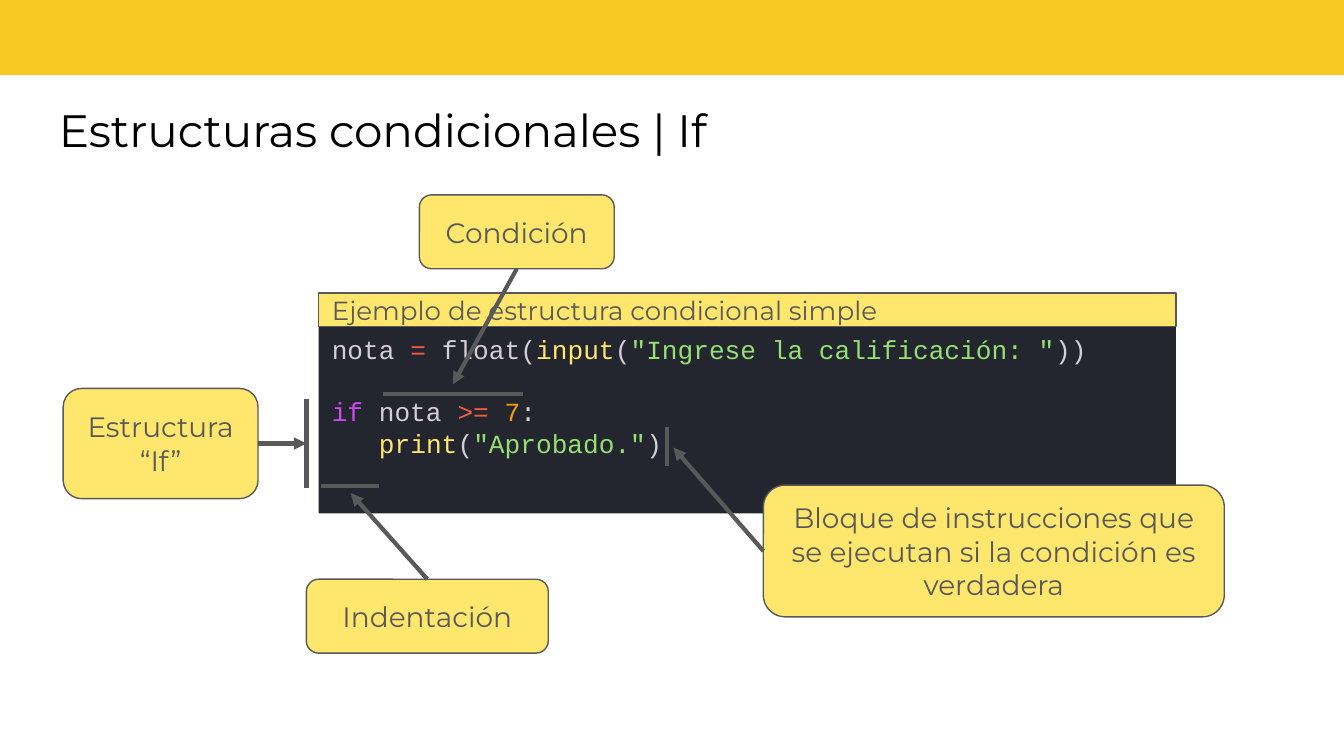
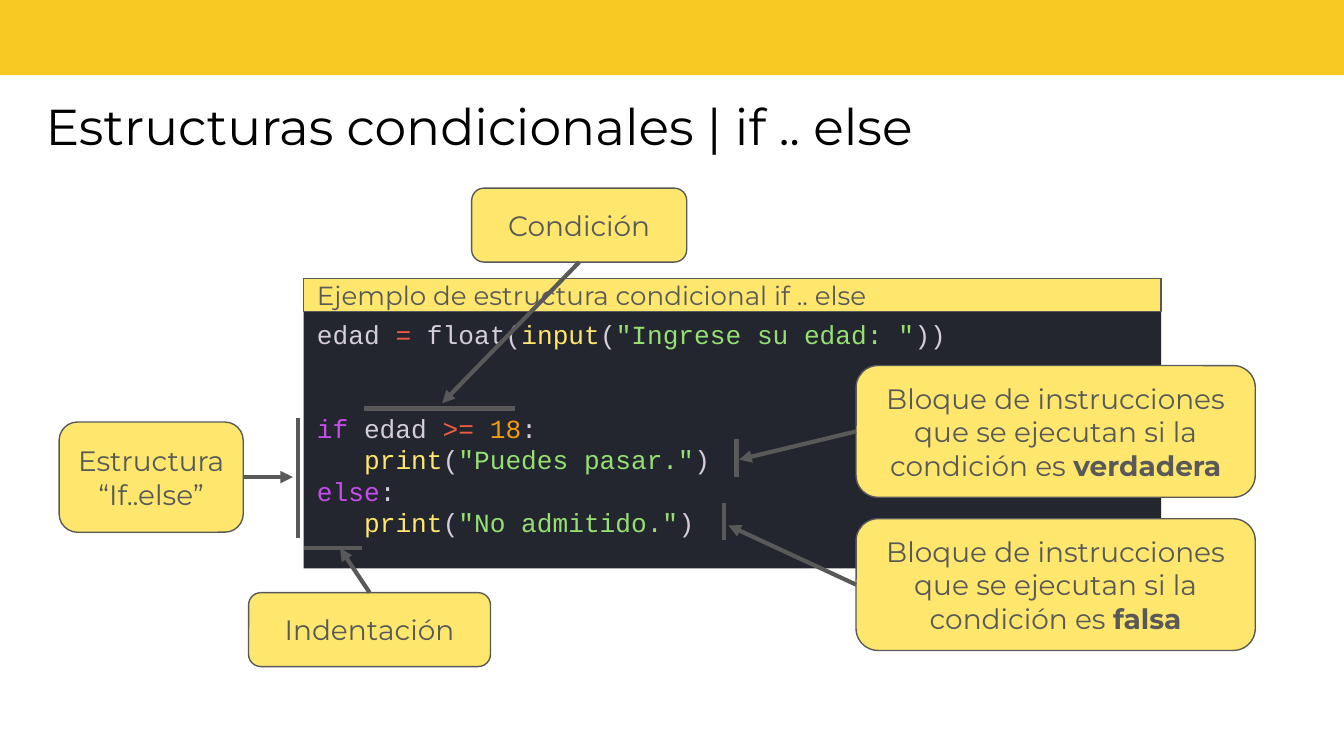
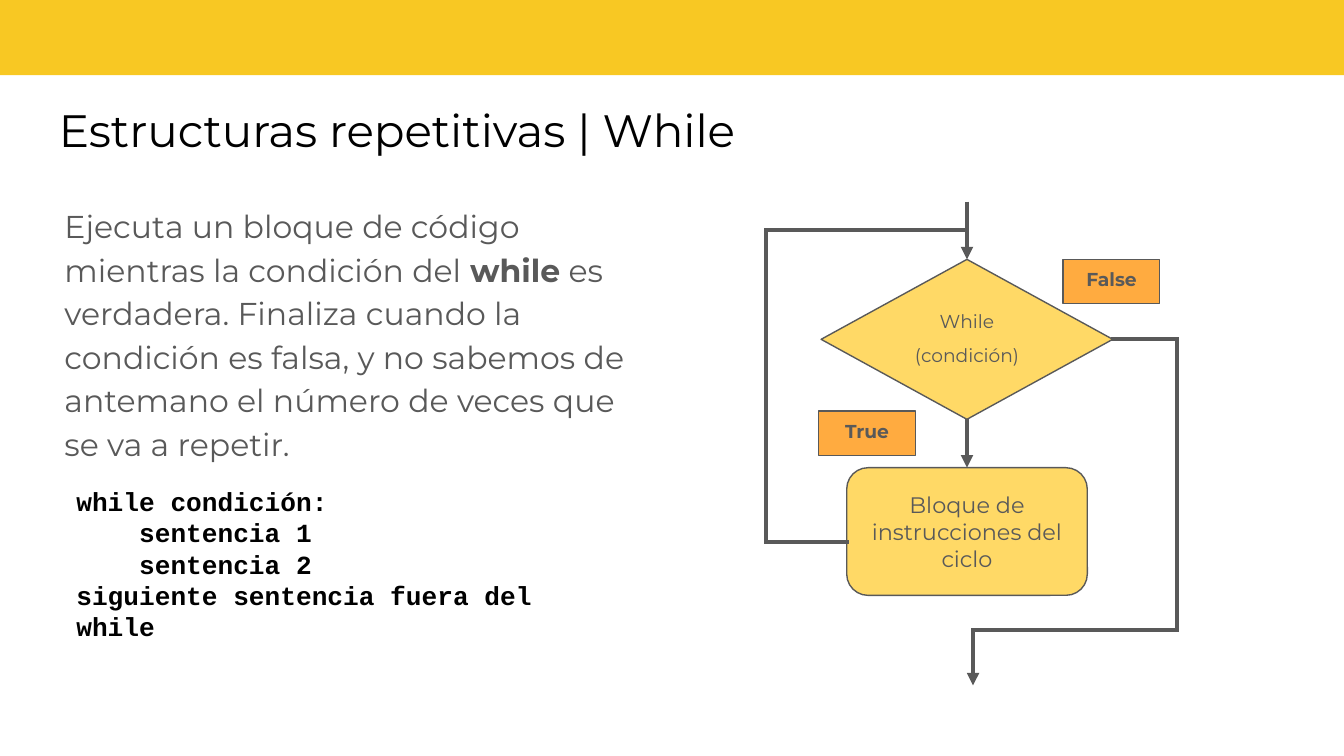
from typing import NamedTuple

from lxml.etree import SubElement
from pptx import Presentation
from pptx.dml.color import RGBColor
from pptx.enum.shapes import MSO_CONNECTOR, MSO_SHAPE
from pptx.enum.text import MSO_ANCHOR, PP_ALIGN
from pptx.oxml.ns import qn
from pptx.util import Inches, Pt

# The grid has 100 columns across the slide; rows are as tall as columns are wide
SLIDE_WIDTH, SLIDE_HEIGHT = Inches(10), Inches(5.625)
UNIT = SLIDE_WIDTH // 100

BAND = RGBColor(0xF8, 0xC8, 0x23)
LEMON = RGBColor(0xFF, 0xE6, 0x6D)
SAND = RGBColor(0xFF, 0xD9, 0x66)
ORANGE = RGBColor(0xFF, 0xAB, 0x40)
GREY = RGBColor(0x59, 0x59, 0x59)
BLACK = RGBColor(0, 0, 0)
CODE_BACK = RGBColor(0x23, 0x26, 0x2E)
CODE_PLAIN = RGBColor(0xD5, 0xCE, 0xD9)
CODE_OPERATOR = RGBColor(0xEE, 0x5D, 0x43)
CODE_STRING = RGBColor(0x96, 0xE0, 0x72)
CODE_KEYWORD = RGBColor(0xC7, 0x4D, 0xED)
CODE_NUMBER = RGBColor(0xF3, 0x9C, 0x12)

SANS, MONO = "Montserrat", "Courier New"
CODE_SIZE, CODE_LINE = 14, 16.75
TOP, LEFT, BOTTOM, RIGHT = range(4)


class Box(NamedTuple):
    left: float
    top: float
    width: float
    height: float

    def point(self, x, y):
        return self.left + x, self.top + y

    def inner(self, x, y, width, height):
        return Box(self.left + x, self.top + y, width, height)

    def lengths(self):
        return [round(value * UNIT) for value in self]


class Run(NamedTuple):
    text: str
    color: RGBColor = GREY
    bold: bool = False


class Note(NamedTuple):
    """A callout, the side its arrow leaves, the arrow tip and the marked line."""
    runs: list
    box: tuple
    side: int
    tip: tuple
    mark: tuple


# Text and shapes
def write(shape, lines, size, font=SANS, align=PP_ALIGN.LEFT, anchor=MSO_ANCHOR.MIDDLE,
          insets=(0.1, 0.05), gap=0, spacing=None):
    """Write lists of runs as paragraphs; an empty list becomes space before the next."""
    frame = shape.text_frame
    frame.word_wrap = True
    frame.vertical_anchor = anchor
    frame.margin_left = frame.margin_right = Inches(insets[0])
    frame.margin_top = frame.margin_bottom = Inches(insets[1])
    paragraph, blank_space = None, 0
    for runs in lines:
        if not runs:
            blank_space += CODE_LINE
            continue
        if paragraph is None:
            paragraph = frame.paragraphs[0]
        else:
            paragraph = frame.add_paragraph()
            paragraph.space_before = Pt(gap + blank_space)
        blank_space = 0
        paragraph.alignment = align
        if spacing:
            paragraph.line_spacing = spacing
        for text, color, bold in runs:
            run = paragraph.add_run()
            run.text = text
            run.font.name, run.font.size = font, Pt(size)
            run.font.bold, run.font.color.rgb = bold, color


def add_box(slide, kind, box, fill, outlined=True):
    shape = slide.shapes.add_shape(kind, *box.lengths())
    shape.shadow.inherit = False
    shape.fill.solid()
    shape.fill.fore_color.rgb = fill
    if outlined:
        shape.line.color.rgb = GREY
        shape.line.width = Pt(0.75)
    else:
        shape.line.fill.background()
    return shape


def add_text(slide, box, lines, size, **style):
    write(slide.shapes.add_textbox(*box.lengths()), lines, size, **style)


# Lines and arrows
def add_line(slide, start, end, arrow=False, square=False):
    ends = [round(value * UNIT) for value in (*start, *end)]
    connector = slide.shapes.add_connector(MSO_CONNECTOR.STRAIGHT, *ends)
    connector.line.color.rgb = GREY
    connector.line.width = Pt(2.25)
    line = connector.line._get_or_add_ln()
    if square:
        line.set("cap", "sq")
    if arrow:
        SubElement(line, qn("a:tailEnd"), type="triangle")
    SubElement(connector._element.spPr, qn("a:effectLst"))
    return connector


def add_path(slide, points):
    return [add_line(slide, start, end, square=True)
            for start, end in zip(points, points[1:])]


# Parts every slide shares
def start_slide(presentation, title, size=24.3, inset=0.1, spacing=None):
    slide = presentation.slides.add_slide(presentation.slide_layouts[6])
    add_box(slide, MSO_SHAPE.RECTANGLE, Box(-0.1, -0.5, 100.3, 6.1), BAND, outlined=False)
    add_text(slide, Box(3.4, 6.5, 93, 6.3), [[Run(title, BLACK)]], size,
             insets=(inset, 0.1), spacing=spacing)
    return slide


# Lines of code
def input_line(name, prompt):
    return [Run(name + " ", CODE_PLAIN), Run("=", CODE_OPERATOR), Run(" float(", CODE_PLAIN),
            Run("input", LEMON), Run("(", CODE_PLAIN), Run(prompt, CODE_STRING),
            Run("))", CODE_PLAIN)]


def if_line(name, limit):
    return [Run("if", CODE_KEYWORD), Run(f" {name} ", CODE_PLAIN), Run(">=", CODE_OPERATOR),
            Run(" ", CODE_PLAIN), Run(limit, CODE_NUMBER), Run(":", CODE_PLAIN)]


def print_line(message):
    return [Run("   ", CODE_PLAIN), Run("print", LEMON), Run("(", CODE_PLAIN),
            Run(message, CODE_STRING), Run(")", CODE_PLAIN)]


# Code panel with a heading bar and notes around it
def annotated_code(slide, box, heading, code, notes):
    bar = 2.5
    panel = add_box(slide, MSO_SHAPE.RECTANGLE,
                    box.inner(0, bar, box.width, box.height - bar), CODE_BACK, outlined=False)
    write(panel, code, CODE_SIZE, font=MONO, anchor=MSO_ANCHOR.TOP)
    header = add_box(slide, MSO_SHAPE.RECTANGLE, box.inner(0, 0, box.width, bar), LEMON)
    write(header, [[Run(heading)]], 14)
    for note in notes:
        callout = add_box(slide, MSO_SHAPE.FLOWCHART_ALTERNATE_PROCESS,
                          box.inner(*note.box), LEMON)
        write(callout, [note.runs], 15, align=PP_ALIGN.CENTER)
        mark_start, mark_end = note.mark
        add_line(slide, box.point(*mark_start), box.point(*mark_end))
        tip = box.point(*note.tip)
        add_line(slide, tip, tip, arrow=True).begin_connect(callout, note.side)


# Flowchart of the while loop
def while_flowchart(slide, box):
    axis, loop_top, loop_bottom, loop_left = 15.25, 2.1, 25.3, 0.3
    exit_right, exit_bottom, exit_axis = 30.85, 31.9, 15.7

    decision = add_box(slide, MSO_SHAPE.FLOWCHART_DECISION,
                       box.inner(axis - 10.85, 4.3, 21.7, 11.9), SAND)
    write(decision, [[Run("While")], [Run("(condición)")]], 10, align=PP_ALIGN.CENTER,
          anchor=MSO_ANCHOR.BOTTOM, insets=(0.1, 0.1), gap=6)
    body = add_box(slide, MSO_SHAPE.FLOWCHART_ALTERNATE_PROCESS,
                   box.inner(axis - 8.95, 19.8, 17.9, 9.5), SAND)
    write(body, [[Run("Bloque de instrucciones del ciclo")]], 12, align=PP_ALIGN.CENTER)

    for text, x, y in (("True", 4.2, 15.6), ("False", 22.4, 4.3)):
        label = add_box(slide, MSO_SHAPE.RECTANGLE, box.inner(x, y, 7.2, 3.3), ORANGE)
        write(label, [[Run(text, bold=True)]], 10, align=PP_ALIGN.CENTER,
              anchor=MSO_ANCHOR.BOTTOM, insets=(0.1, 0.1))

    # Entry and step into the body
    entry = box.point(axis, 0)
    add_line(slide, entry, entry, arrow=True).end_connect(decision, TOP)
    step = add_line(slide, entry, entry, arrow=True)
    step.begin_connect(decision, BOTTOM)
    step.end_connect(body, TOP)

    # Way back to the condition
    add_path(slide, [box.point(axis - 8.95, loop_bottom), box.point(loop_left, loop_bottom),
                     box.point(loop_left, loop_top), box.point(axis, loop_top)])

    # Way out of the loop
    way_out = add_path(slide, [box.point(axis + 10.85, 10.25), box.point(exit_right, 10.25),
                               box.point(exit_right, exit_bottom),
                               box.point(exit_axis, exit_bottom)])
    way_out[0].begin_connect(decision, RIGHT)
    add_line(slide, box.point(exit_axis, exit_bottom), box.point(exit_axis, box.height),
             arrow=True)


# Slides
def if_slide(presentation):
    slide = start_slide(presentation, "Estructuras condicionales | If")
    code = [input_line("nota", '"Ingrese la calificación: "'), [],
            if_line("nota", "7"), print_line('"Aprobado."')]
    notes = [
        Note([Run("Bloque de instrucciones que se ejecutan si la condición es verdadera")],
             (33.1, 14.3, 34.3, 9.8), LEFT, (26.4, 11.5), ((25.9, 10), (25.9, 12.9))),
        Note([Run("Estructura “If”")],
             (-19, 7.1, 14.5, 8.2), RIGHT, (-0.9, 11.2), ((-0.9, 7.9), (-0.9, 14.5))),
        Note([Run("Indentación")],
             (-0.9, 21.3, 18, 5.5), TOP, (2.4, 14.9), ((0.2, 14.35), (4.5, 14.35))),
        Note([Run("Condición")],
             (7.5, -7.3, 14.5, 5.5), BOTTOM, (10, 6.8), ((4.8, 7.5), (15.2, 7.5))),
    ]
    annotated_code(slide, Box(23.7, 21.8, 63.8, 16.4),
                   "Ejemplo de estructura condicional simple", code, notes)


def if_else_slide(presentation):
    slide = start_slide(presentation, "Estructuras condicionales | if .. else",
                        size=27, inset=0, spacing=0.9)
    code = [input_line("edad", '"Ingrese su edad: "'), [], [],
            if_line("edad", "18"), print_line('"Puedes pasar."'),
            [Run("else", CODE_KEYWORD), Run(":", CODE_PLAIN)], print_line('"No admitido."')]
    block = Run("Bloque de instrucciones que se ejecutan si la condición es ")
    notes = [
        Note([block, Run("verdadera", bold=True)],
             (41.1, 6.5, 29.7, 9.8), LEFT, (32.4, 13.5), ((32.2, 12), (32.2, 14.8))),
        Note([block, Run("falsa", bold=True)],
             (41.1, 17.9, 29.7, 9.8), LEFT, (31.6, 18.4), ((31.3, 16.7), (31.3, 19.5))),
        Note([Run("Estructura “If..else”")],
             (-18.2, 10.7, 13.7, 8.2), RIGHT, (-0.8, 14.8), ((-0.45, 10.4), (-0.45, 19.3))),
        Note([Run("Indentación")],
             (-4.1, 23.4, 18, 5.5), TOP, (2.7, 20.1), ((0, 20.05), (4.3, 20.05))),
        Note([Run("Condición")],
             (12.5, -6.7, 16, 5.5), BOTTOM, (10.3, 9.3), ((4.5, 9.7), (15.7, 9.7))),
    ]
    annotated_code(slide, Box(22.6, 20.7, 63.8, 21.6),
                   "Ejemplo de estructura condicional if .. else", code, notes)


def while_slide(presentation):
    slide = start_slide(presentation, "Estructuras repetitivas | While")
    explanation = [Run("Ejecuta un bloque de código mientras la condición del "),
                   Run("while", bold=True),
                   Run(" es verdadera. Finaliza cuando la condición es falsa, y no sabemos "
                       "de antemano el número de veces que se va a repetir.")]
    add_text(slide, Box(4.8, 14, 43.6, 35.8), [explanation], 16.9,
             anchor=MSO_ANCHOR.TOP, insets=(0, 0.1), spacing=1.15)
    while_flowchart(slide, Box(56.7, 15, 31, 36))
    syntax = ["while condición:", "    sentencia 1", "    sentencia 2",
              "siguiente sentencia fuera del while"]
    add_text(slide, Box(4.7, 34.8, 41.7, 14.3), [[Run(line, BLACK, True)] for line in syntax],
             CODE_SIZE, font=MONO, insets=(0.1, 0.1))


def main():
    presentation = Presentation()
    presentation.slide_width, presentation.slide_height = SLIDE_WIDTH, SLIDE_HEIGHT
    if_slide(presentation)
    if_else_slide(presentation)
    while_slide(presentation)
    presentation.save("out.pptx")


if __name__ == "__main__":
    main()
